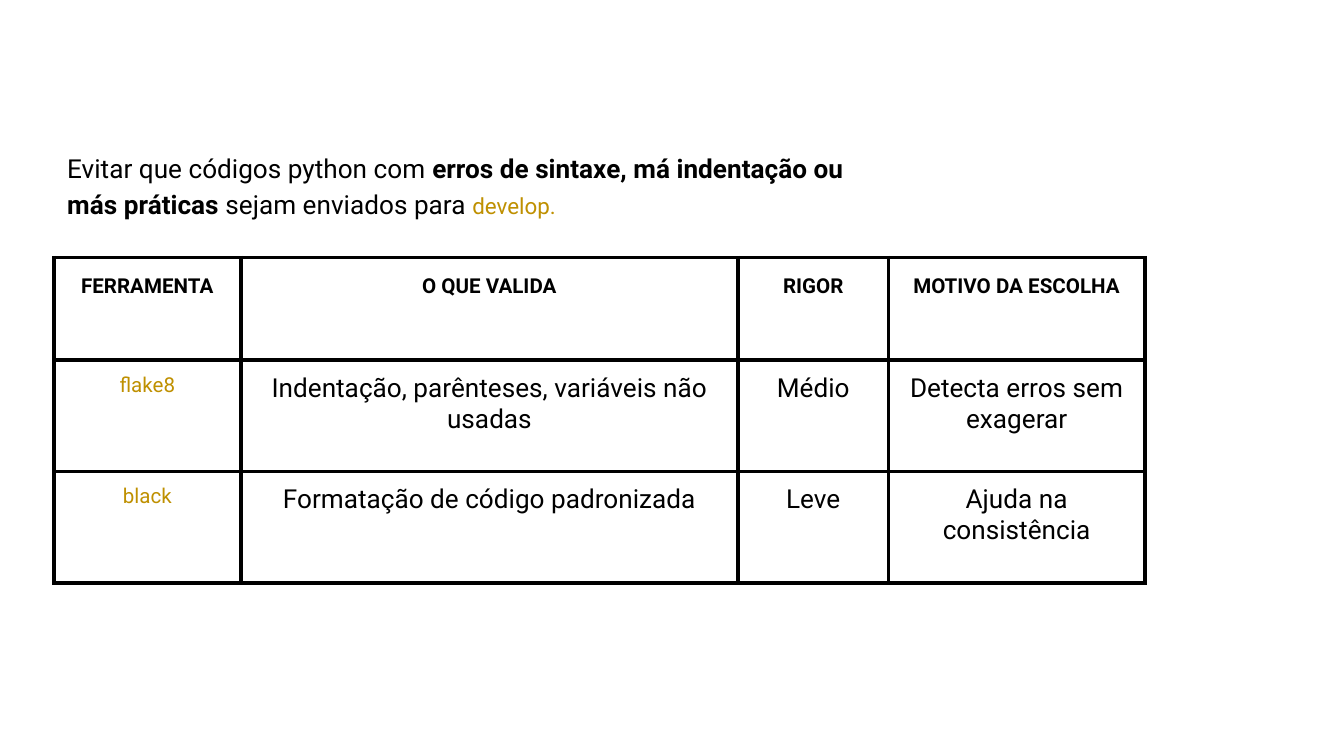
from lxml.etree import SubElement
from pptx import Presentation
from pptx.dml.color import RGBColor
from pptx.enum.text import MSO_AUTO_SIZE as AutoSize, PP_ALIGN as Align
from pptx.oxml.ns import qn
from pptx.util import Cm, Pt

BLACK = RGBColor(0x00, 0x00, 0x00)
GOLD = RGBColor(0xBF, 0x90, 0x00)
FONT = "Roboto"
MARGIN = Cm(0.25)
LEFT = Cm(1.02)
COLUMN_WIDTHS = [3.53, 9.4, 2.84, 4.85]
ROW_HEIGHTS = [1.93, 2.11, 2.11]
GOAL = [
    ("Evitar que códigos python com ", 14, BLACK, False),
    ("erros de sintaxe, má indentação ou más práticas", 14, BLACK, True),
    (" sejam enviados para ", 14, BLACK, False),
    ("develop.", 12, GOLD, False),
]
TOOLS = [
    ["FERRAMENTA", "O QUE VALIDA", "RIGOR", "MOTIVO DA ESCOLHA"],
    ["flake8", "Indentação, parênteses, variáveis não usadas", "Médio",
     "Detecta erros sem exagerar"],
    ["black", "Formatação de código padronizada", "Leve", "Ajuda na consistência"],
]


def add_span(para, text, size, color, bold=False):
    span = para.add_run()
    span.text = text
    span.font.name = FONT
    span.font.size = Pt(size)
    span.font.bold = bold
    span.font.color.rgb = color


def set_margins(target):
    target.margin_left = target.margin_right = MARGIN
    target.margin_top = target.margin_bottom = MARGIN


def add_goal(page):
    box = page.shapes.add_textbox(LEFT, Cm(2.54), Cm(15.54), Cm(1.8))
    frame = box.text_frame
    frame.word_wrap = True
    frame.auto_size = AutoSize.SHAPE_TO_FIT_TEXT
    set_margins(frame)
    para = frame.paragraphs[0]
    para.line_spacing = 1.15
    para.space_after = Pt(12)
    for text, size, color, bold in GOAL:
        add_span(para, text, size, color, bold)


def set_borders(cell):
    properties = cell._tc.get_or_add_tcPr()
    for side in ("a:lnL", "a:lnR", "a:lnT", "a:lnB"):
        line = SubElement(properties, qn(side), w=str(Pt(2.25)))
        fill = SubElement(line, qn("a:solidFill"))
        SubElement(fill, qn("a:srgbClr"), val=str(BLACK))


def fill_cell(cell, text, is_header, is_tool):
    set_margins(cell)
    set_borders(cell)
    cell.fill.background()
    para = cell.text_frame.paragraphs[0]
    para.alignment = Align.CENTER
    if is_header:
        para.line_spacing = 1.15
    size = 11 if is_header or is_tool else 14
    color = GOLD if is_tool else BLACK
    add_span(para, text, size, color, is_header)


def add_tools_table(page):
    frame = page.shapes.add_table(
        len(ROW_HEIGHTS), len(COLUMN_WIDTHS), LEFT, Cm(4.87),
        Cm(sum(COLUMN_WIDTHS)), Cm(sum(ROW_HEIGHTS)))
    table = frame.table
    table.first_row = False
    table.horz_banding = False
    for column, width in zip(table.columns, COLUMN_WIDTHS):
        column.width = Cm(width)
    for row, height in zip(table.rows, ROW_HEIGHTS):
        row.height = Cm(height)
    for i, texts in enumerate(TOOLS):
        for j, text in enumerate(texts):
            fill_cell(table.cell(i, j), text, i == 0, i > 0 and j == 0)


def main():
    deck = Presentation()
    deck.slide_width = Cm(25.4)
    deck.slide_height = Cm(14.29)
    page = deck.slides.add_slide(deck.slide_layouts.get_by_name("Blank"))
    add_goal(page)
    add_tools_table(page)
    deck.save("out.pptx")


if __name__ == "__main__":
    main()
